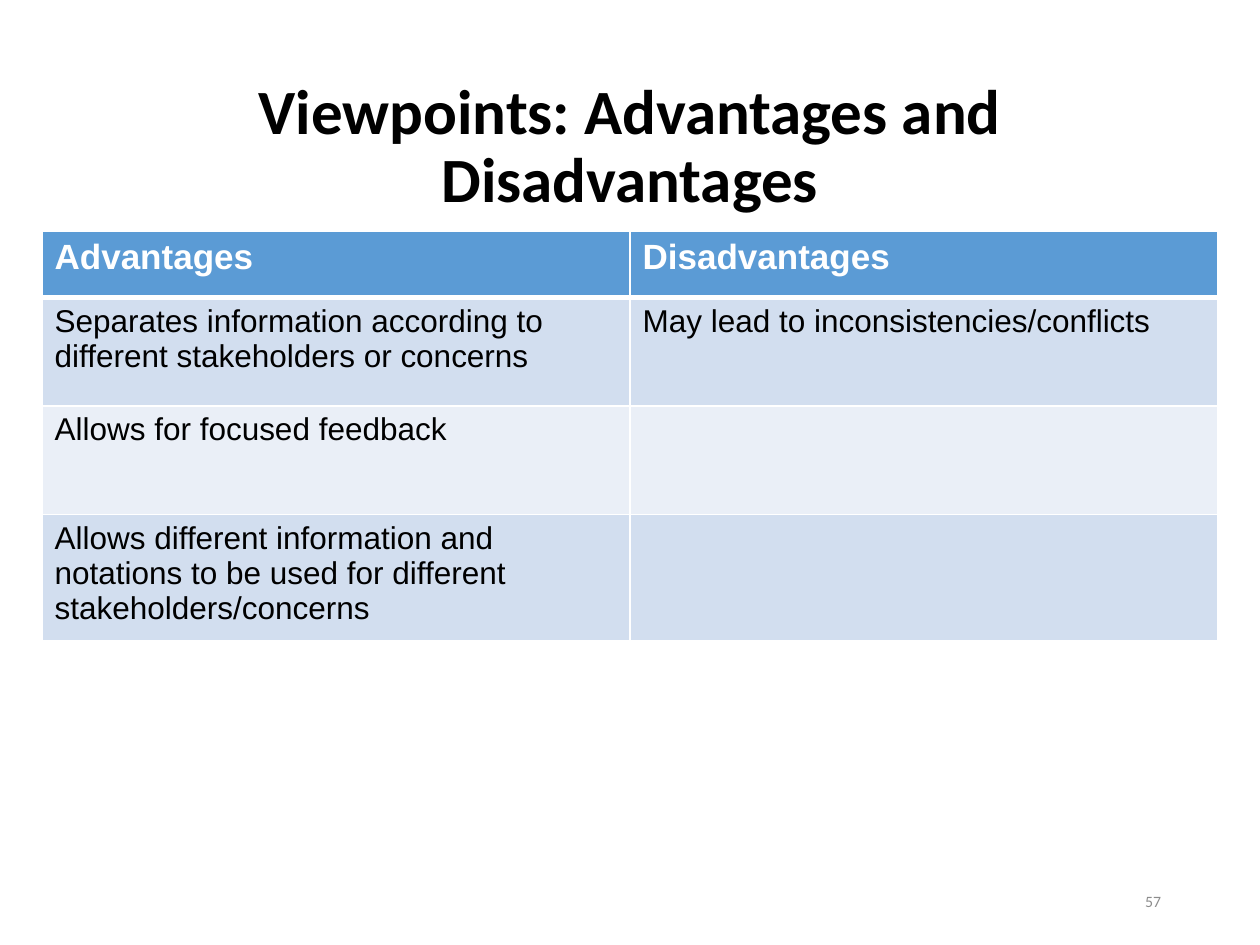
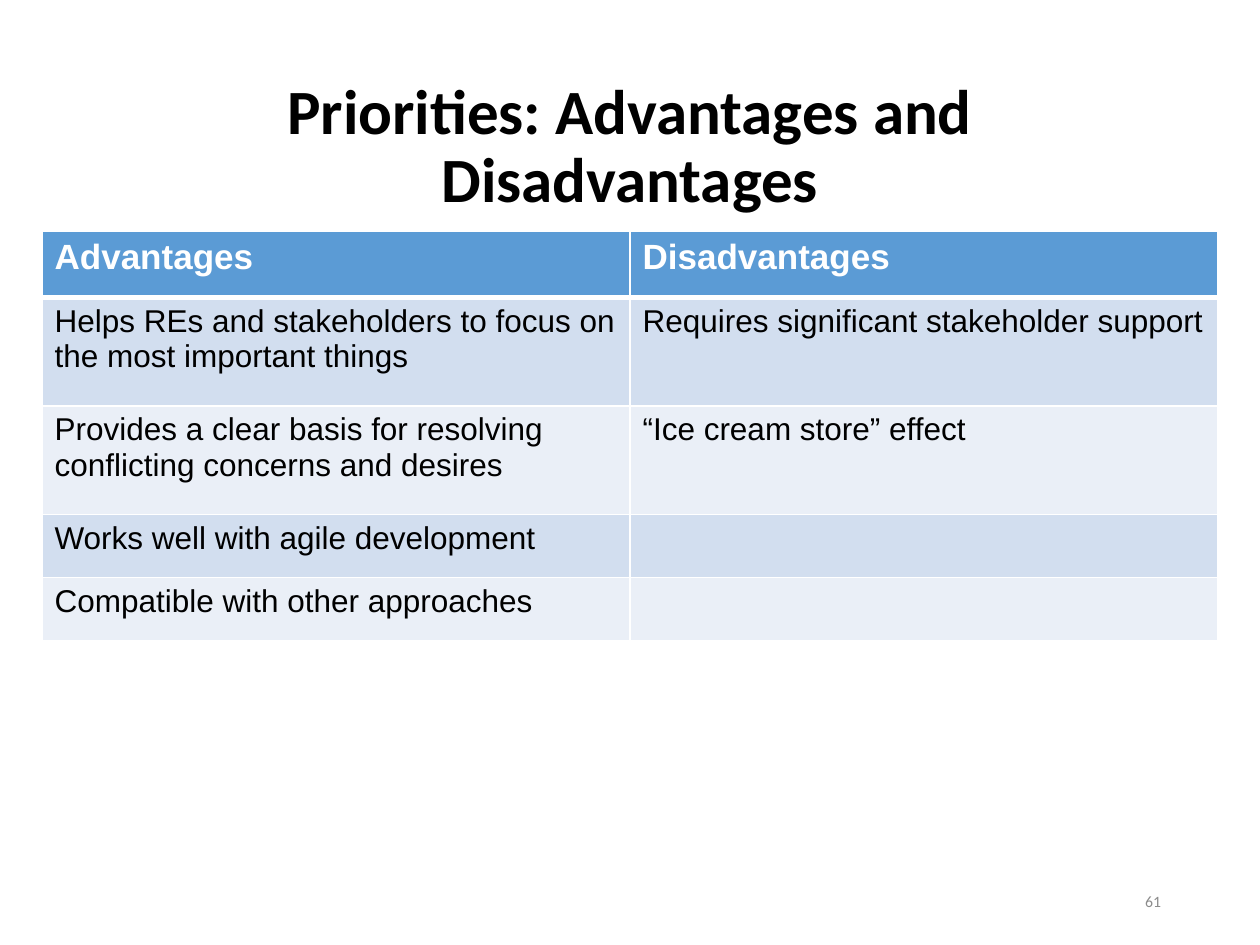
from lxml import etree
from pptx import Presentation
from pptx.dml.color import RGBColor
from pptx.enum.text import MSO_ANCHOR, PP_ALIGN
from pptx.oxml.ns import qn
from pptx.util import Pt

LEFT, CENTER, RIGHT = PP_ALIGN.LEFT, PP_ALIGN.CENTER, PP_ALIGN.RIGHT
MIDDLE = MSO_ANCHOR.MIDDLE

COLORS = {
    "title": "000000",
    "body": "000000",
    "page_number": "8C8C8C",
    "header_text": "FFFFFF",
    "header_fill": "5B9BD5",
    "odd_row": "D2DEEF",
    "even_row": "EAEFF7",
    "rule": "FFFFFF",
}
HEADING_FONT, TABLE_FONT = "Calibri", "Arial"

# Boxes are left, top, width, height in points.
PAGE_SIZE = (720, 540)
TITLE_BOX = (49.5, 55.5, 621, 58.5)
NUMBER_BOX = (508.5, 500.5, 162, 28.75)
TABLE_BOX = (24, 132, 672, 233)

HEADERS = ("Advantages", "Disadvantages")
HEADER_HEIGHT, TALL_ROW, SHORT_ROW = 38, 62, 36
THIN_RULE, HEADER_RULE = 1, 3

COMPARISONS = [
    {
        "title": "Viewpoints: Advantages and Disadvantages",
        "number": "57",
        "rows": [
            (TALL_ROW, "Separates information according to different stakeholders or concerns",
             "May lead to inconsistencies/conflicts"),
            (TALL_ROW, "Allows for focused feedback", ""),
            (SHORT_ROW, "Allows different information and notations to be used for "
                        "different stakeholders/concerns", ""),
        ],
    },
    {
        "title": "Priorities: Advantages and Disadvantages",
        "number": "61",
        "rows": [
            (TALL_ROW, "Helps REs and stakeholders to focus on the most important things",
             "Requires significant stakeholder support"),
            (TALL_ROW, "Provides a clear basis for resolving conflicting concerns and desires",
             "“Ice cream store” effect"),
            (SHORT_ROW, "Works well with agile development", ""),
            (SHORT_ROW, "Compatible with other approaches", ""),
        ],
    },
]


def write_text(frame, text, *, font, size, color, bold=False, align=LEFT, spacing=None):
    para = frame.paragraphs[0]
    para.alignment = align
    para.line_spacing = spacing
    para.font.size = Pt(size)
    if not text:
        return
    span = para.add_run()
    span.text = text
    span.font.name = font
    span.font.size = Pt(size)
    span.font.bold = bold
    span.font.color.rgb = RGBColor.from_string(COLORS[color])


def add_text_box(page, box, text, **text_format):
    frame = page.shapes.add_textbox(*map(Pt, box)).text_frame
    frame.word_wrap = True
    frame.vertical_anchor = MIDDLE
    write_text(frame, text, **text_format)


def rule_cell(cell, top, bottom):
    """Draw the four borders; the side borders are always thin."""
    properties = cell._tc.get_or_add_tcPr()
    widths = {"a:lnL": THIN_RULE, "a:lnR": THIN_RULE, "a:lnT": top, "a:lnB": bottom}
    for tag, width in widths.items():
        line = etree.SubElement(properties, qn(tag), w=str(Pt(width)))
        fill = etree.SubElement(line, qn("a:solidFill"))
        etree.SubElement(fill, qn("a:srgbClr"), val=COLORS["rule"])


def add_comparison_table(page, box, rows):
    lines = [(HEADER_HEIGHT, *HEADERS), *rows]
    table = page.shapes.add_table(len(lines), len(HEADERS), *map(Pt, box)).table
    table.horz_banding = False
    for column in table.columns:
        column.width = Pt(box[2] / len(HEADERS))
    for row_index, (height, *texts) in enumerate(lines):
        table.rows[row_index].height = Pt(height)
        is_header = row_index == 0
        band = "header_fill" if is_header else "odd_row" if row_index % 2 else "even_row"
        for column_index, text in enumerate(texts):
            cell = table.cell(row_index, column_index)
            rule_cell(cell,
                      top=HEADER_RULE if row_index == 1 else THIN_RULE,
                      bottom=HEADER_RULE if is_header else THIN_RULE)
            cell.fill.solid()
            cell.fill.fore_color.rgb = RGBColor.from_string(COLORS[band])
            write_text(cell.text_frame, text, font=TABLE_FONT,
                       size=20 if is_header else 18,
                       color="header_text" if is_header else "body", bold=is_header)


def add_comparison_page(deck, title, number, rows):
    page = deck.slides.add_slide(deck.slide_layouts[6])
    add_text_box(page, NUMBER_BOX, number, font=HEADING_FONT, size=9,
                 color="page_number", align=RIGHT)
    add_text_box(page, TITLE_BOX, title, font=HEADING_FONT, size=36,
                 color="title", bold=True, align=CENTER, spacing=0.9)
    add_comparison_table(page, TABLE_BOX, rows)


def main():
    deck = Presentation()
    deck.slide_width, deck.slide_height = map(Pt, PAGE_SIZE)
    for comparison in COMPARISONS:
        add_comparison_page(deck, **comparison)
    deck.save("out.pptx")


if __name__ == "__main__":
    main()
